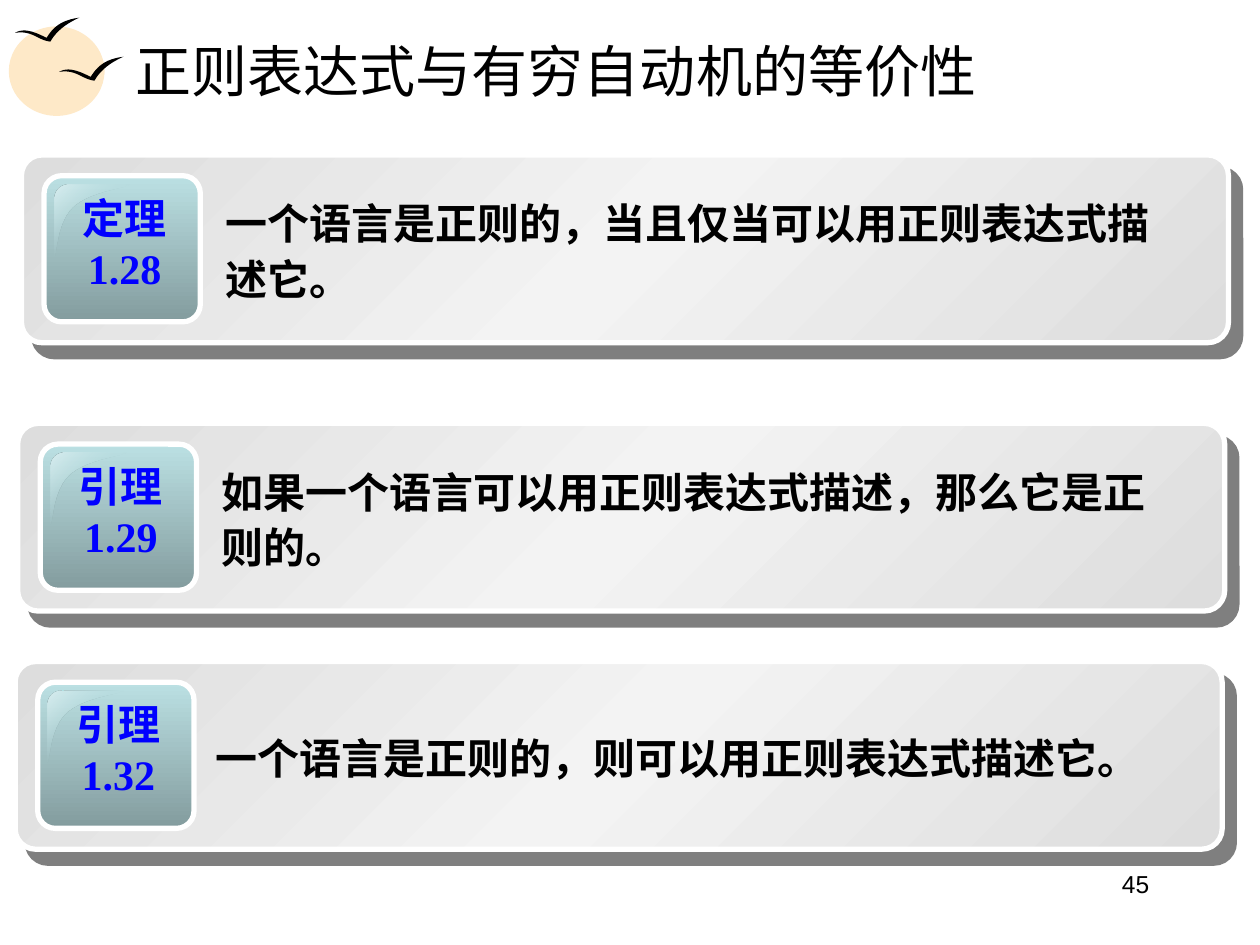
from dataclasses import dataclass

from pptx import Presentation
from pptx.dml.color import RGBColor
from pptx.enum.shapes import MSO_SHAPE
from pptx.enum.text import MSO_ANCHOR, PP_ALIGN
from pptx.oxml import parse_xml
from pptx.oxml.ns import nsdecls, qn
from pptx.util import Inches, Pt

SLIDE_WIDTH, SLIDE_HEIGHT = Inches(10), Inches(7.5)
COLUMN, ROW = SLIDE_WIDTH / 100, SLIDE_HEIGHT / 75
CURVE_STEPS = 12


@dataclass(frozen=True)
class Theme:
    serif: str = "Times New Roman"
    sans: str = "Arial"
    title_size: int = 32
    body_size: int = 24
    number_size: int = 14
    border_width: int = 3
    ink: str = "000000"
    label: str = "0000FF"
    border: str = "FFFFFF"
    sun: str = "FEE9C8"
    card: tuple = (("DDDDDD", 100), ("F3F3F3", 100), ("DDDDDD", 100))
    badge: tuple = (("BBE0E3", 100), ("839C9E", 100))
    gloss: tuple = (("DAEEF0", 100), ("BBE0E3", 0), ("DAEEF0", 100))


@dataclass(frozen=True)
class Box:
    left: float
    top: float
    width: float
    height: float

    def inner(self, column, row, width, height):
        return Box(self.left + column, self.top + row, width, height)

    def point(self, column, row):
        return round((self.left + column) * COLUMN), round((self.top + row) * ROW)

    def lengths(self):
        return (*self.point(0, 0), round(self.width * COLUMN), round(self.height * ROW))


THEME = Theme()

BIRD_START = (0, 1.2)
BIRD_CURVES = (
    ((0.7, 0.8), (1.5, 1.1), (2.5, 1.6)),
    ((3, 0.8), (3.6, 0.2), (5.1, 0)),
    ((4.2, 0.4), (3.3, 1), (2.8, 1.9)),
    ((1.8, 1.8), (1.4, 1), (0, 1.2)),
)
GLOSS_START = (1.2, 0)
GLOSS_CURVES = (
    ((0.5, 0), (0, 0.5), (0, 1.2)),
    ((0, 1.2), (0, 5.7), (0, 5.7)),
    ((0.25, 5.8), (0.1, 3), (1.6, 1.7)),
    ((3.2, 0.4), (6.1, 0.3), (6, 0)),
)

CARDS = (
    (Box(1.7, 12.3, 95.8, 14.9), 15.2, "定理", "1.28",
     "一个语言是正则的，当且仅当可以用正则表达式描述它。"),
    (Box(1.4, 33.6, 95.8, 14.9), 15.2, "引理", "1.29",
     "如果一个语言可以用正则表达式描述，那么它是正则的。"),
    (Box(1.2, 52.5, 95.8, 14.9), 14.9, "引理", "1.32",
     "一个语言是正则的，则可以用正则表达式描述它。"),
)


def curve_points(start, curves):
    for first, second, end in curves:
        for step in range(1, CURVE_STEPS + 1):
            t = step / CURVE_STEPS
            yield tuple(
                (1 - t) ** 3 * a + 3 * (1 - t) ** 2 * t * b + 3 * (1 - t) * t ** 2 * c + t ** 3 * d
                for a, b, c, d in zip(start, first, second, end)
            )
        start = end


def fill_solid(shape, color):
    shape.fill.solid()
    shape.fill.fore_color.rgb = RGBColor.from_string(color)


def fill_gradient(shape, stops, clockwise_angle):
    shape.fill.gradient()
    shape.fill.gradient_angle = 360 - clockwise_angle
    stop_list = shape.element.spPr.find(qn("a:gradFill")).find(qn("a:gsLst"))
    for stop in list(stop_list):
        stop_list.remove(stop)
    for index, (color, opacity) in enumerate(stops):
        position = 100000 * index // (len(stops) - 1)
        stop_list.append(parse_xml(
            f'<a:gs {nsdecls("a")} pos="{position}"><a:srgbClr val="{color}">'
            f'<a:alpha val="{opacity * 1000}"/></a:srgbClr></a:gs>'
        ))


def add_preset(slide, kind, box):
    shape = slide.shapes.add_shape(kind, *box.lengths())
    shape.shadow.inherit = False
    shape.line.fill.background()
    return shape


def add_panel(slide, box, corner, stops, angle):
    shape = add_preset(slide, MSO_SHAPE.ROUNDED_RECTANGLE, box)
    shape.adjustments[0] = corner
    fill_gradient(shape, stops, angle)
    shape.line.color.rgb = RGBColor.from_string(THEME.border)
    shape.line.width = Pt(THEME.border_width)
    return shape


def add_outline(slide, box, start, curves):
    builder = slide.shapes.build_freeform(*box.point(*start))
    builder.add_line_segments([box.point(*point) for point in curve_points(start, curves)])
    shape = builder.convert_to_shape()
    shape.shadow.inherit = False
    shape.line.fill.background()
    return shape


def add_text(slide, box, lines, size, font=THEME.serif, color=THEME.ink, bold=False,
             align=PP_ALIGN.LEFT, anchor=MSO_ANCHOR.TOP, spacing=1.0):
    frame = slide.shapes.add_textbox(*box.lengths()).text_frame
    frame.word_wrap = True
    frame.vertical_anchor = anchor
    frame.text = "\n".join(lines)
    for paragraph in frame.paragraphs:
        paragraph.alignment = align
        paragraph.line_spacing = spacing
        paragraph.font.name = font
        paragraph.font.size = Pt(size)
        paragraph.font.bold = bold
        paragraph.font.color.rgb = RGBColor.from_string(color)


def add_emblem(slide, box):
    for sun in (box.inner(0, 0.7, 7.6, 7.1), box.inner(1.3, 1.4, 6.3, 5.5)):
        fill_solid(add_preset(slide, MSO_SHAPE.OVAL, sun), THEME.sun)
    for bird in (box.inner(4, 3.1, 5.1, 1.9), box.inner(0.5, 0, 5.1, 1.9)):
        fill_solid(add_outline(slide, bird, BIRD_START, BIRD_CURVES), THEME.ink)


def add_badge(slide, box, kind, number):
    add_panel(slide, box, 0.12, THEME.badge, 90)
    gloss = add_outline(slide, box.inner(0.8, 0.7, 6.2, 5.8), GLOSS_START, GLOSS_CURVES)
    fill_gradient(gloss, THEME.gloss, 45)
    add_text(slide, box.inner(1.7, 0.8, 9.4, 9), (kind, number), THEME.body_size,
             color=THEME.label, bold=True, align=PP_ALIGN.CENTER)


def add_card(slide, box, text_column, kind, number, statement):
    panel = add_panel(slide, box, 0.11, THEME.card, 45)
    panel.element.spPr.find(qn("a:effectLst")).append(parse_xml(
        f'<a:outerShdw {nsdecls("a")} blurRad="0" dist="{Pt(10.6)}" dir="{49 * 60000}" '
        f'algn="ctr" rotWithShape="0"><a:srgbClr val="{THEME.ink}">'
        '<a:alpha val="50000"/></a:srgbClr></a:outerShdw>'
    ))
    add_badge(slide, box.inner(1.8, 1.65, 12.4, 11.6), kind, number)
    add_text(slide, box.inner(text_column, 2.5, 76.4, 9.8), (statement,), THEME.body_size,
             bold=True, anchor=MSO_ANCHOR.MIDDLE, spacing=1.1)


def main():
    presentation = Presentation()
    presentation.slide_width, presentation.slide_height = SLIDE_WIDTH, SLIDE_HEIGHT
    slide = presentation.slides.add_slide(presentation.slide_layouts[6])
    add_emblem(slide, Box(0.7, 1.4, 9.1, 7.8))
    add_text(slide, Box(68.9, 68.5, 23.3, 5.2), ("45",), THEME.number_size,
             font=THEME.sans, align=PP_ALIGN.RIGHT)
    add_text(slide, Box(9.8, 2.1, 85.3, 6.9), ("正则表达式与有穷自动机的等价性",),
             THEME.title_size, anchor=MSO_ANCHOR.MIDDLE)
    for card in CARDS:
        add_card(slide, *card)
    presentation.save("out.pptx")


if __name__ == "__main__":
    main()
